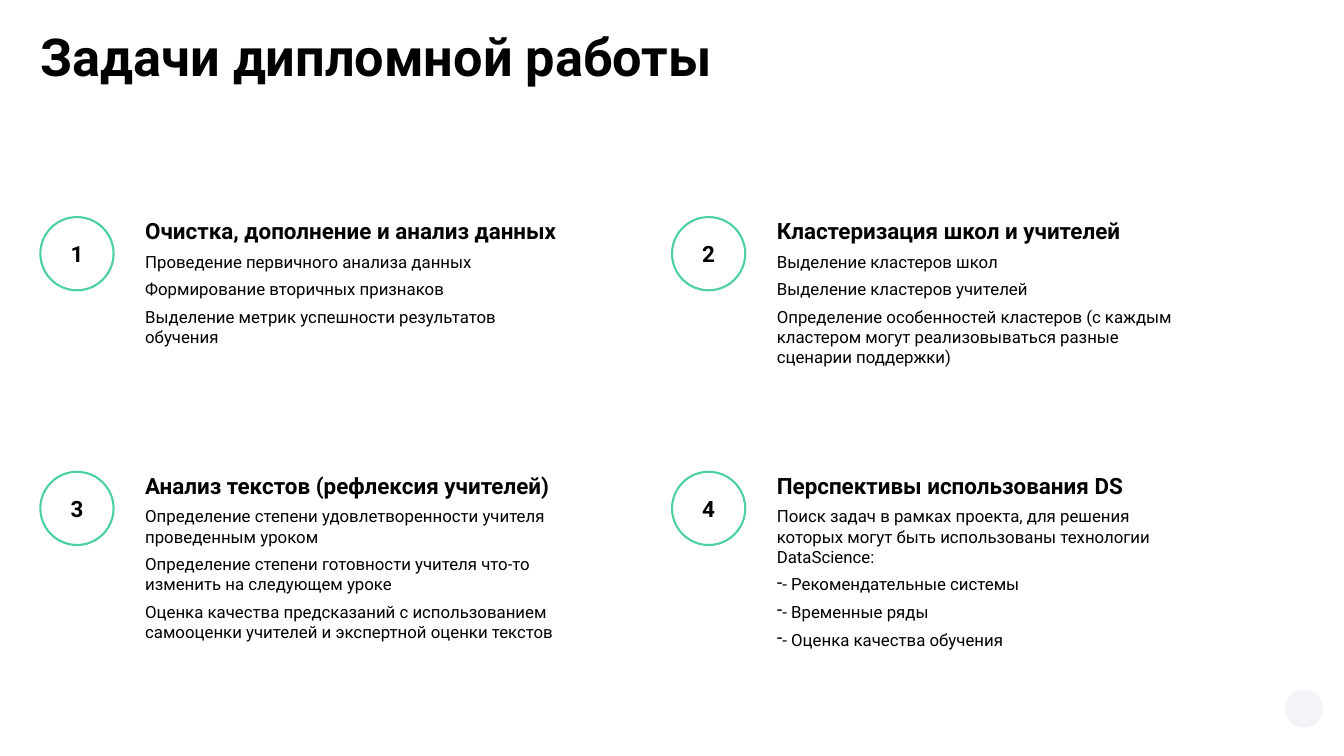
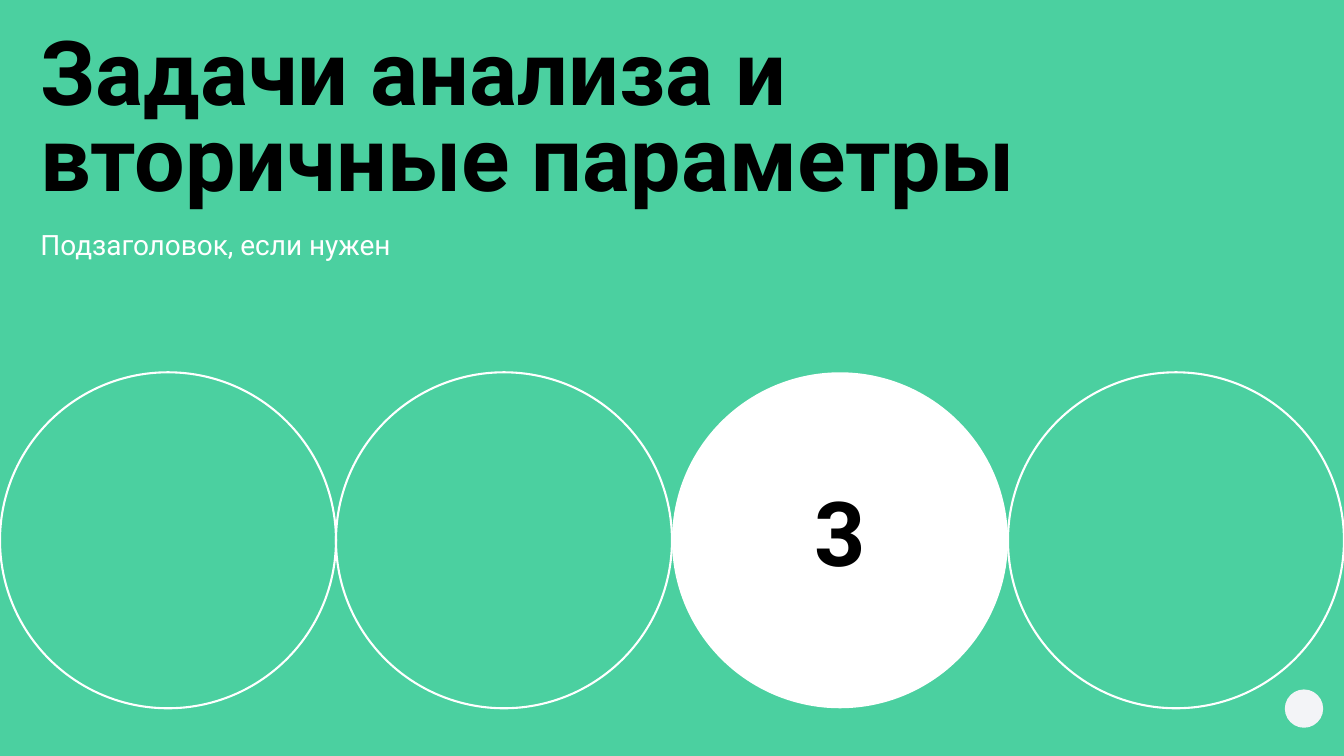
import dataclasses

import lxml.etree
import pptx
import pptx.dml.color
import pptx.enum.shapes
import pptx.enum.text
import pptx.oxml.ns
import pptx.util

Inches = pptx.util.Inches
Pt = pptx.util.Pt
ALIGN = pptx.enum.text.PP_ALIGN
ANCHOR = pptx.enum.text.MSO_ANCHOR
OVAL = pptx.enum.shapes.MSO_SHAPE.OVAL


@dataclasses.dataclass(frozen=True)
class Theme:
    font: str = "Roboto"
    black: str = "000000"
    white: str = "FFFFFF"
    green: str = "4BD0A0"
    pale: str = "F3F4F7"
    cover: int = 96
    title: int = 56
    sub: int = 30
    head: int = 24
    body: int = 18
    line: float = 2.25
    tight: float = 0.8
    gap: int = 8


THEME = Theme()
TITLE_BOX = (0.6, 0.54, 15.63)

# Items that start with a hyphen also get a hyphen bullet.
TASKS = [
    ("Очистка, дополнение и анализ данных",
     ["Проведение первичного анализа данных",
      "Формирование вторичных признаков",
      "Выделение метрик успешности результатов обучения"]),
    ("Кластеризация школ и учителей",
     ["Выделение кластеров школ",
      "Выделение кластеров учителей",
      "Определение особенностей кластеров (с каждым кластером могут "
      "реализовываться разные сценарии поддержки)"]),
    ("Анализ текстов (рефлексия учителей)",
     ["Определение степени удовлетворенности учителя проведенным уроком",
      "Определение степени готовности учителя что-то изменить на следующем уроке",
      "Оценка качества предсказаний с использованием самооценки учителей "
      "и экспертной оценки текстов"]),
    ("Перспективы использования DS",
     ["Поиск задач в рамках проекта, для решения которых могут быть "
      "использованы технологии DataScience:",
      "- Рекомендательные системы",
      "- Временные ряды",
      "- Оценка качества обучения"]),
]


def rgb(code):
    return pptx.dml.color.RGBColor.from_string(code)


def setup(frame, anchor, *pads):
    """Set wrapping, anchor and the left, top, right and bottom insets."""
    frame.word_wrap = True
    frame.auto_size = pptx.enum.text.MSO_AUTO_SIZE.NONE
    frame.vertical_anchor = anchor
    (frame.margin_left, frame.margin_top,
     frame.margin_right, frame.margin_bottom) = map(Inches, pads)


def write(para, text, size, bold=False, color=THEME.black,
          align=ALIGN.LEFT, lead=1.0, before=0):
    para.alignment = align
    para.line_spacing = lead
    para.space_before = Pt(before)
    run = para.add_run()
    run.text = text
    run.font.name = THEME.font
    run.font.size = Pt(size)
    run.font.bold = bold
    run.font.color.rgb = rgb(color)


def bullet(para, mark):
    props = para._p.get_or_add_pPr()
    props.set("marL", "0")
    props.set("indent", "0")
    char = lxml.etree.SubElement(props, pptx.oxml.ns.qn("a:buChar"))
    char.set("char", mark)


def circle(slide, left, top, size, fill=None, line=None):
    shape = slide.shapes.add_shape(OVAL, *map(Inches, (left, top, size, size)))
    shape.shadow.inherit = False
    if fill:
        shape.fill.solid()
        shape.fill.fore_color.rgb = rgb(fill)
    else:
        shape.fill.background()
    if line:
        shape.line.color.rgb = rgb(line)
        shape.line.width = Pt(THEME.line)
    else:
        shape.line.fill.background()
    return shape


def label(shape, text, size, lead=1.0):
    frame = shape.text_frame
    setup(frame, ANCHOR.MIDDLE, 0.1, 0.1, 0.1, 0.1)
    write(frame.paragraphs[0], text, size, True, align=ALIGN.CENTER, lead=lead)


def new_slide(deck, back, title, size, height):
    """Add a slide with its background, corner badge and title."""
    slide = deck.slides.add_slide(deck.slide_layouts[5])
    slide.background.fill.solid()
    slide.background.fill.fore_color.rgb = rgb(back)
    circle(slide, 19.12, 10.26, 0.57, fill=THEME.pale)
    box = slide.shapes.title
    box.left, box.top, box.width, box.height = map(Inches, (*TITLE_BOX, height))
    setup(box.text_frame, ANCHOR.TOP, 0, 0, 0, 0)
    write(box.text_frame.paragraphs[0], title, size, True, lead=THEME.tight)
    return slide


def task(slide, left, top, num, head, items):
    """Place a numbered ring with the task's text to its right."""
    box = slide.shapes.add_textbox(*map(Inches, (left + 1.56, top, 6.25, 2.98)))
    frame = box.text_frame
    setup(frame, ANCHOR.TOP, 0, 0, 0.1, 0.1)
    write(frame.paragraphs[0], head, THEME.head, True)
    for item in items:
        para = frame.add_paragraph()
        write(para, item, THEME.body, before=THEME.gap)
        if item.startswith("-"):
            bullet(para, "-")
    ring = circle(slide, left, top, 1.09, line=THEME.green)
    label(ring, str(num), THEME.head)


def task_slide(deck):
    slide = new_slide(deck, THEME.white, "Задачи дипломной работы",
                      THEME.title, 1.61)
    for i, (head, items) in enumerate(TASKS):
        row, col = divmod(i, 2)
        task(slide, 0.6 + 9.4 * col, 3.23 + 3.79 * row, i + 1, head, items)


def part_slide(deck, part, count=4):
    """Add a section slide whose row of circles marks the current part."""
    slide = new_slide(deck, THEME.green, "Задачи анализа и вторичные параметры",
                      THEME.cover, 4.88)
    write(slide.shapes.title.text_frame.add_paragraph(),
          "Подзаголовок, если нужен", THEME.sub, color=THEME.white,
          lead=THEME.tight, before=28)
    size = 20 / count
    for i in range(count):
        if i + 1 == part:
            disc = circle(slide, i * size, 5.54, size, fill=THEME.white)
            label(disc, str(part), THEME.cover, THEME.tight)
        else:
            circle(slide, i * size, 5.54, size, line=THEME.white)


def main():
    deck = pptx.Presentation()
    deck.slide_width = Inches(20)
    deck.slide_height = Inches(11.25)
    task_slide(deck)
    part_slide(deck, 3)
    deck.save("out.pptx")


if __name__ == "__main__":
    main()
